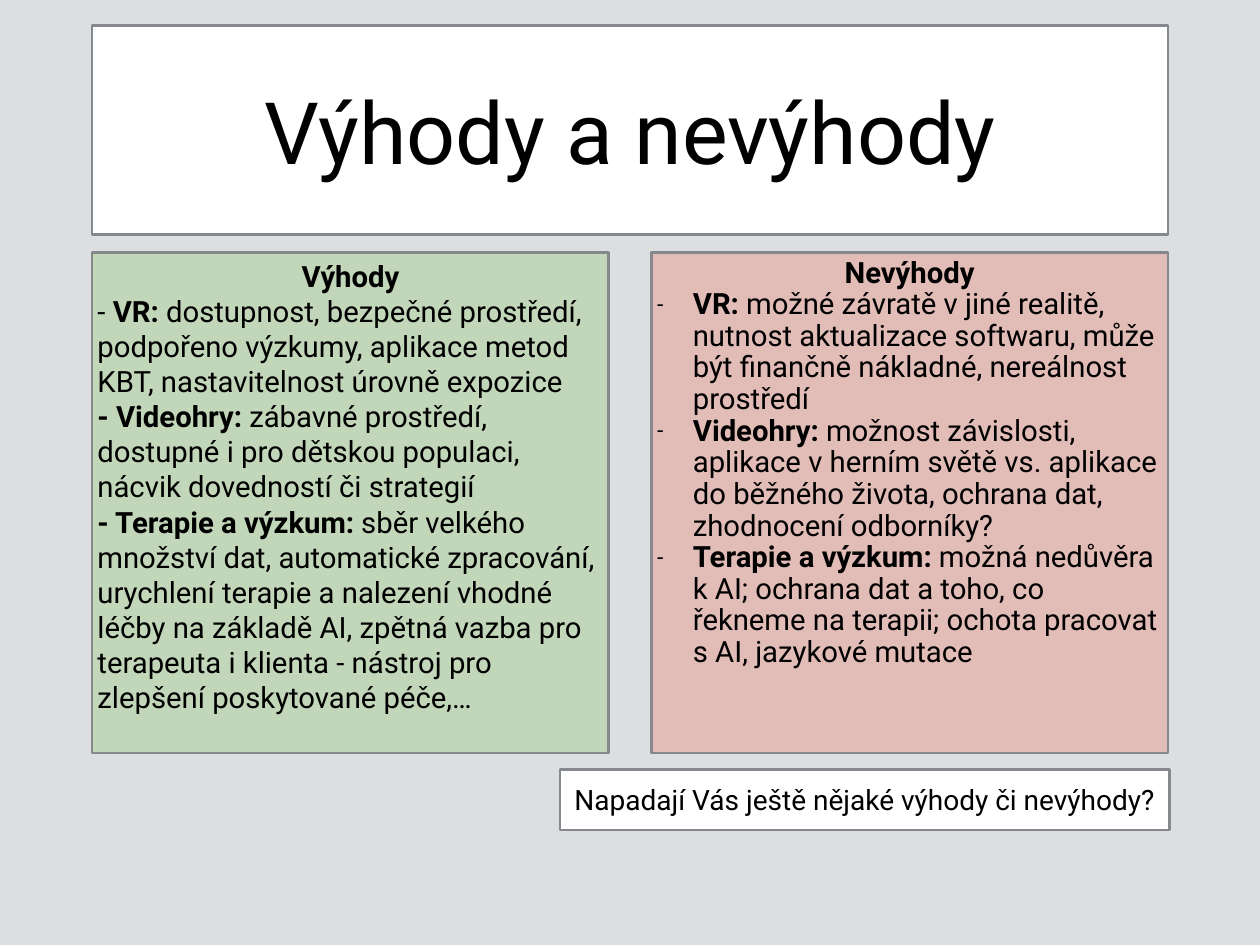
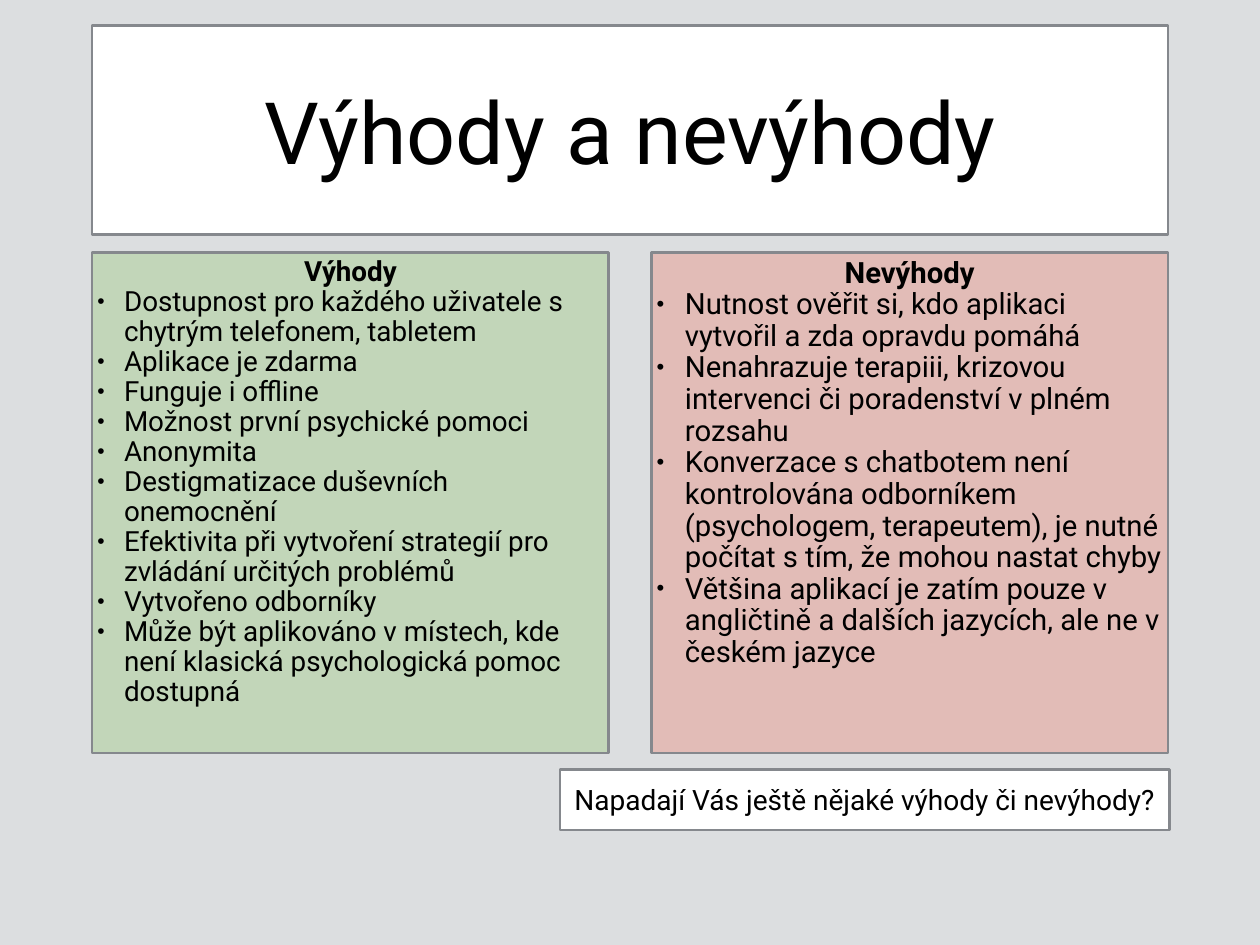
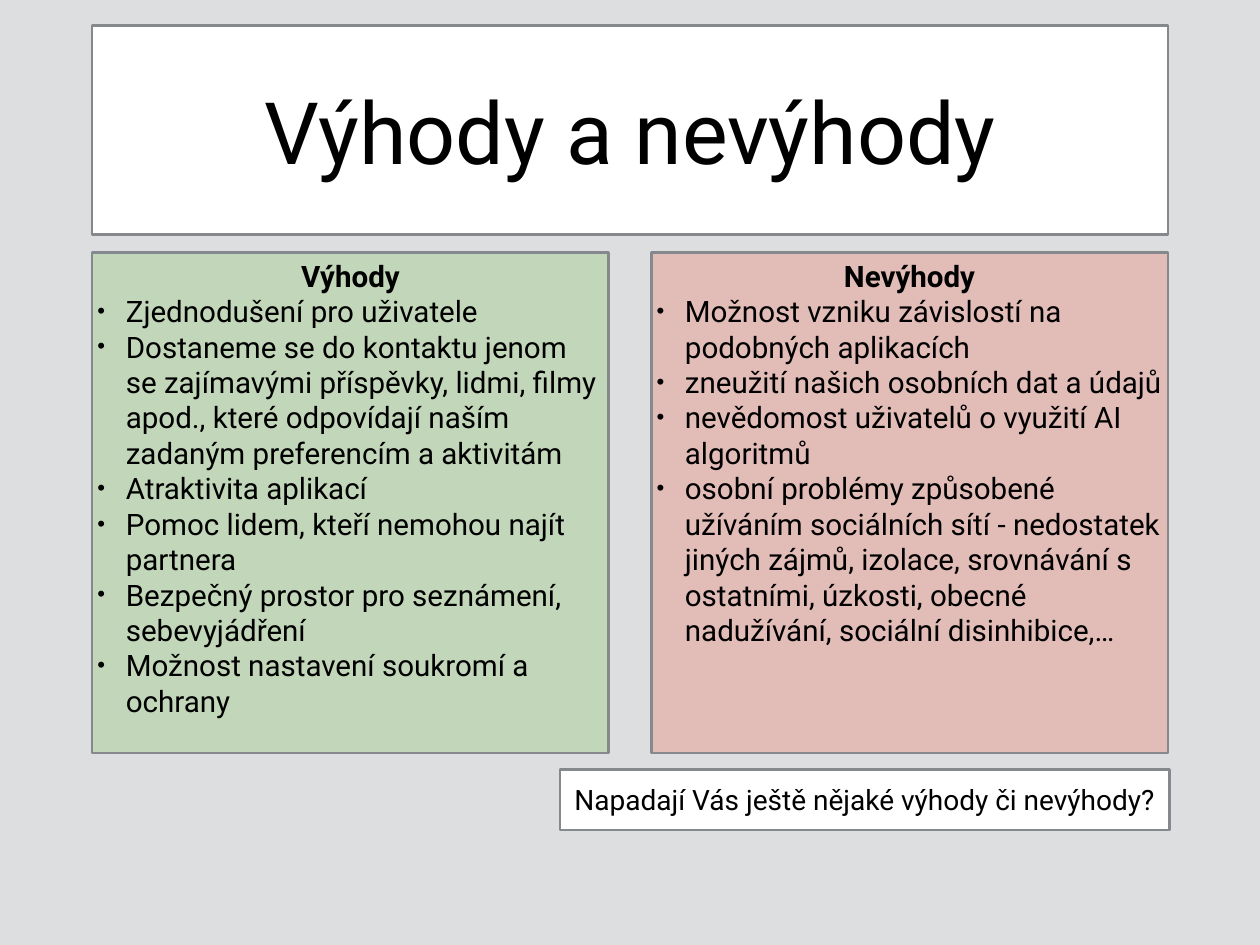
from dataclasses import dataclass
from lxml import etree
from pptx import Presentation
from pptx.dml.color import RGBColor as RGB
from pptx.enum.shapes import MSO_SHAPE as Shape
from pptx.enum.text import MSO_ANCHOR as Anchor, MSO_AUTO_SIZE as Fit, PP_ALIGN as Align
from pptx.oxml.ns import qn
from pptx.util import Inches, Pt


@dataclass(frozen=True)
class Theme:
    font: str = "Roboto"
    back: str = "DCDEE0"
    ink: str = "000000"
    edge: str = "85888D"
    white: str = "FFFFFF"
    green: str = "70BF41"
    red: str = "FF2600"
    title: float = 70
    ask: float = 22.8
    small: float = 22.6
    mid: float = 23.8
    large: float = 24


T = Theme()


def frame(box, area, color, alpha=100, anchor=Anchor.TOP):
    """Place a bordered box and return its text frame."""
    box.left, box.top, box.width, box.height = map(Inches, area)
    box.fill.solid()
    box.fill.fore_color.rgb = RGB.from_string(color)
    if alpha < 100:
        tone = box._element.spPr.find(qn("a:solidFill"))[0]
        etree.SubElement(tone, qn("a:alpha"), val=str(alpha * 1000))
    box.line.color.rgb = RGB.from_string(T.edge)
    box.line.width = Pt(2)
    text = box.text_frame
    text.word_wrap, text.auto_size = True, Fit.NONE
    text.vertical_anchor = anchor
    text.margin_left = text.margin_right = Inches(0.06)
    text.margin_top = text.margin_bottom = Inches(0.06)
    return text


def write(para, runs, size, align=Align.CENTER, space=1.0, mark="", indent=0):
    """Fill a paragraph; every second run is bold."""
    props = para._p.get_or_add_pPr()
    props.set("marL", str(Inches(indent)))
    props.set("indent", str(-Inches(indent)))
    if mark:
        etree.SubElement(props, qn("a:buSzPct"), val="75000")
        etree.SubElement(props, qn("a:buChar"), char=mark)
    else:
        etree.SubElement(props, qn("a:buNone"))
    para.alignment, para.line_spacing = align, space
    para.space_before = para.space_after = Pt(0)
    for i, words in enumerate(runs):
        if words:
            run = para.add_run()
            run.text = words
            run.font.name, run.font.size = T.font, Pt(size)
            run.font.bold = i % 2 == 1
            run.font.color.rgb = RGB.from_string(T.ink)


# Panels: heading, fill, opacity
heads = [("Výhody", T.green, 24), ("Nevýhody", T.red, 18)]

# Per slide, two panels: size, line spacing, bullet, indent, items
pages = [
    [
        (T.mid, 1.0, "", 0, [
            ("- ", "VR:", " dostupnost, bezpečné prostředí, podpořeno výzkumy, "
             "aplikace metod KBT, nastavitelnost úrovně expozice"),
            ("", "- Videohry:", " zábavné prostředí, dostupné i pro dětskou "
             "populaci, nácvik dovedností či strategií"),
            ("", "- Terapie a výzkum:", " sběr velkého množství dat, automatické "
             "zpracování, urychlení terapie a nalezení vhodné léčby na základě AI, "
             "zpětná vazba pro terapeuta i klienta - nástroj pro zlepšení "
             "poskytované péče,…"),
        ]),
        (T.mid, 0.9, "-", 0.41, [
            ("", "VR:", " možné závratě v jiné realitě, nutnost aktualizace "
             "softwaru, může být finančně nákladné, nereálnost prostředí"),
            ("", "Videohry:", " možnost závislosti, aplikace v herním světě vs. "
             "aplikace do běžného života, ochrana dat, zhodnocení odborníky?"),
            ("", "Terapie a výzkum: ", "možná nedůvěra k AI; ochrana dat a toho, "
             "co řekneme na terapii; ochota pracovat s AI, jazykové mutace"),
        ]),
    ],
    [
        (T.small, 0.9, "•", 0.3, [
            ("Dostupnost pro každého uživatele s chytrým telefonem, tabletem",),
            ("Aplikace je zdarma",),
            ("Funguje i offline",),
            ("Možnost první psychické pomoci",),
            ("Anonymita",),
            ("Destigmatizace duševních onemocnění",),
            ("Efektivita při vytvoření strategií pro zvládání určitých problémů",),
            ("Vytvořeno odborníky",),
            ("Může být aplikováno v místech, kde není klasická psychologická pomoc "
             "dostupná",),
        ]),
        (T.mid, 0.9, "•", 0.32, [
            ("Nutnost ověřit si, kdo aplikaci vytvořil a zda opravdu pomáhá",),
            ("Nenahrazuje terapiii, krizovou intervenci či poradenství v plném "
             "rozsahu",),
            ("Konverzace s chatbotem není kontrolována odborníkem (psychologem, "
             "terapeutem), je nutné počítat s tím, že mohou nastat chyby",),
            ("Většina aplikací je zatím pouze v angličtině a dalších jazycích, ale "
             "ne v českém jazyce",),
        ]),
    ],
    [
        (T.large, 1.0, "•", 0.32, [
            ("Zjednodušení pro uživatele",),
            ("Dostaneme se do kontaktu jenom se zajímavými příspěvky, lidmi, filmy "
             "apod., které odpovídají naším zadaným preferencím a aktivitám",),
            ("Atraktivita aplikací",),
            ("Pomoc lidem, kteří nemohou najít partnera",),
            ("Bezpečný prostor pro seznámení, sebevyjádření",),
            ("Možnost nastavení soukromí a ochrany",),
        ]),
        (T.large, 1.0, "•", 0.32, [
            ("Možnost vzniku závislostí na podobných aplikacích",),
            ("zneužití našich osobních dat a údajů",),
            ("nevědomost uživatelů o využití AI algoritmů",),
            ("osobní problémy způsobené užíváním sociálních sítí - nedostatek "
             "jiných zájmů, izolace, srovnávání s ostatními, úzkosti, obecné "
             "nadužívání, sociální disinhibice,…",),
        ]),
    ],
]

# Deck and shared background
deck = Presentation()
deck.slide_width, deck.slide_height = Inches(14.22), Inches(10.67)
fill = deck.slide_master.background.fill
fill.solid()
fill.fore_color.rgb = RGB.from_string(T.back)
layout = deck.slide_layouts.get_by_name("Two Content")

for page in pages:
    slide = deck.slides.add_slide(layout)

    # Title
    text = frame(slide.shapes.title, (1.04, 0.29, 12.14, 2.36), T.white,
                 anchor=Anchor.MIDDLE)
    write(text.paragraphs[0], ["Výhody a nevýhody"], T.title)

    # Pros and cons
    for i, (head, panel) in enumerate(zip(heads, page)):
        name, color, alpha = head
        size, space, mark, indent, items = panel
        text = frame(slide.placeholders[i + 1], (1.04 + i * 6.31, 2.85, 5.83, 5.65),
                     color, alpha)
        write(text.paragraphs[0], ("", name), size, space=space)
        for item in items:
            write(text.add_paragraph(), item, size, Align.LEFT, space, mark, indent)

    # Closing question
    ask = slide.shapes.add_shape(Shape.RECTANGLE, 0, 0, 0, 0)
    ask.shadow.inherit = False
    text = frame(ask, (6.32, 8.69, 6.88, 0.68), T.white, anchor=Anchor.MIDDLE)
    write(text.paragraphs[0], ["Napadají Vás ještě nějaké výhody či nevýhody?"], T.ask)

deck.save("out.pptx")
